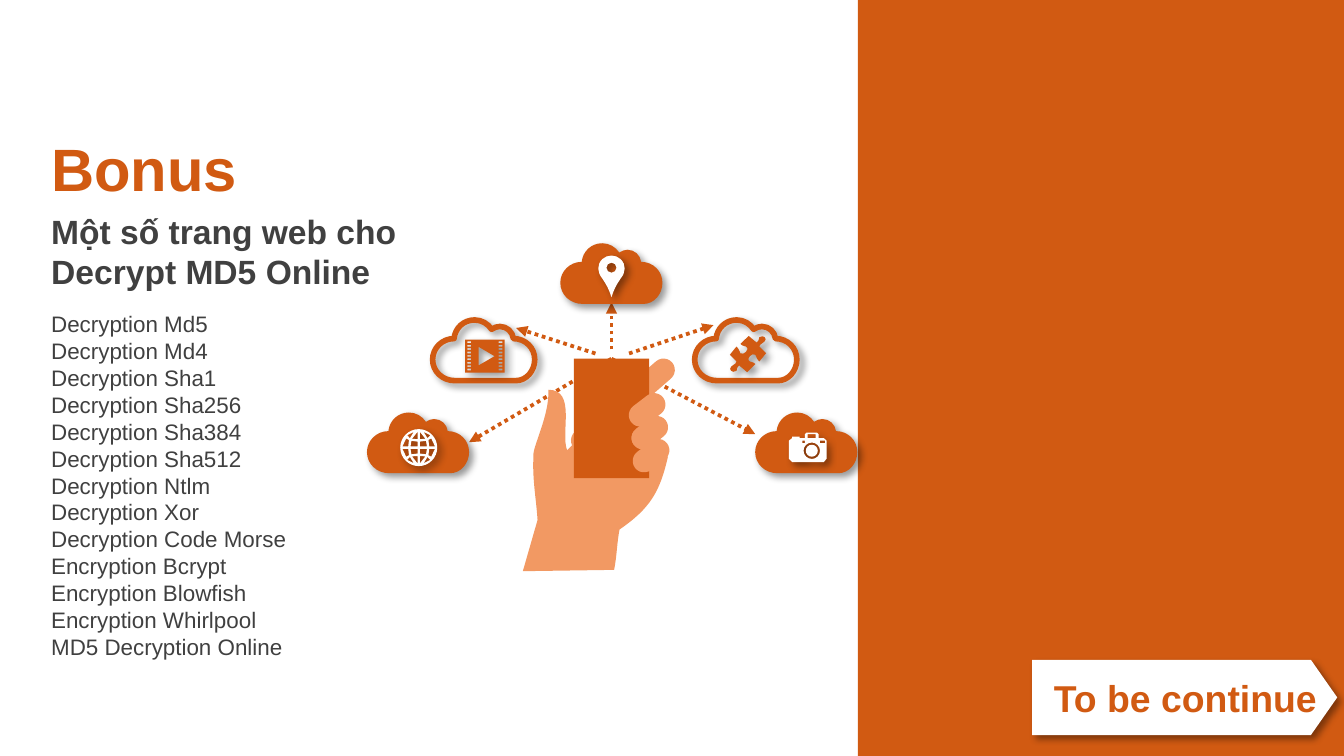
from itertools import product
from lxml.etree import SubElement
from pptx import Presentation
from pptx.dml.color import RGBColor
from pptx.enum.dml import MSO_LINE
from pptx.enum.shapes import MSO_CONNECTOR, MSO_SHAPE
from pptx.enum.text import MSO_ANCHOR, MSO_AUTO_SIZE, PP_ALIGN
from pptx.oxml.ns import qn
from pptx.util import Pt

COLORS = {"orange": "D15A12", "skin": "F29963", "white": "FFFFFF", "gray": "404040", "black": "000000"}

HEADING = "Bonus"
SUBHEADING = "Một số trang web cho Decrypt MD5 Online"
TOOLS = [
    "Decryption Md5", "Decryption Md4", "Decryption Sha1", "Decryption Sha256",
    "Decryption Sha384", "Decryption Sha512", "Decryption Ntlm", "Decryption Xor",
    "Decryption Code Morse", "Encryption Bcrypt", "Encryption Blowfish",
    "Encryption Whirlpool", "MD5 Decryption Online",
]
CLOSING = "To be continue"

PHONE_TOP = (327.6, 192.2)
ARROWS = [
    ((327.6, 187.2), (327.6, 162)),
    ((337, 189.4), (382.3, 174.2)),
    ((319, 189.4), (276.5, 175.7)),
    (PHONE_TOP, (251.3, 236.9)),
    (PHONE_TOP, (404.6, 232.6)),
]
THUMB = (327.6, 182.2, 12.2, 69.8, 49)
FINGERS = [(340.6, 208.8), (342, 221), (342.7, 233.3)]
CLOUDS = [
    (300.2, 130.3, True), (231.8, 171.4, False), (196.6, 221, True),
    (404.6, 221, True), (372.2, 171.4, False),
]

HAND = [[
    (293.8, 208.8), (294.5, 222.5, 285.1, 239.8, 285.8, 244.1),
    (285.1, 257, 287.3, 267.1, 288, 278.6), (280.1, 306), (329, 305.3),
    (330.5, 298.1, 330.5, 290.9, 331.9, 283.7), (348.5, 272.2, 353.5, 263.5, 357.8, 244.8),
    (333.4, 212.4), (303.8, 241.2), (300.2, 231.8, 308.9, 208.8, 293.8, 208.8),
]]
CLOUD = [[
    (22.5, 0), (26.3, 0, 29.6, 2, 31.6, 5), (33, 4, 34.6, 3.5, 36, 3.5),
    (39.8, 3.5, 42.8, 6.3, 43.3, 10), (49.8, 10, 54.7, 15, 54.7, 21.2),
    (54.7, 27.2, 50.3, 32.5, 44.6, 32.5), (12, 32.5), (5.2, 32.5, 0, 27.5, 0, 21.2),
    (0, 15, 5.2, 10, 11.5, 10), (12, 4.5, 16.5, 0, 22.5, 0),
]]
GLOBE_QUADRANT = [
    [(4.7, 5), (2.6, 8.4), (6.2, 6.6)],
    [(0.6, 4.5), (0.6, 8.5), (3.6, 4.7)],
    [(5.6, 0.7), (5.2, 4.1), (6.7, 4.9), (8.7, 0.7)],
    [(0.6, 0.7), (0.6, 3.2), (3.9, 3.6), (4.4, 0.7)],
]
PUZZLE_HALF = [
    (9, -9), (9.7, -8.3, 9.7, -7.6, 9, -6.8), (8.3, -5.4, 6.8, -6.1, 6.1, -4),
    (9.7, -0.4), (6.1, 4), (4.7, 2.5, 4.7, 1.8, 4, 0.4), (3.2, -0.4, 1.8, 0.4, 1.1, 1.1),
    (0.4, 1.8, -0.4, 3.2, 1.1, 4), (2.5, 4.7, 2.5, 4, 4, 5.4), (-0.4, 9.7), (-4.7, 6.1),
    (-6.1, 6.8, -5.4, 7.6, -6.1, 9), (-7.6, 9.7, -8.3, 9.7, -9, 9),
]
PIN_BODY = [
    (0, 0), (1.8, 0, 3.5, 0.6, 4.9, 1.9), (8, 5, 7.6, 9, 4.9, 12.3),
    (2.7, 15.6, 1.4, 17.8, 0, 22.3), (-1.4, 17.8, -2.7, 15.6, -4.9, 12.3),
    (-7.6, 9, -8, 5, -4.9, 1.9), (-3.5, 0.6, -1.8, 0, 0, 0),
]
CAMERA_BODY = [
    (9.4, 0), (15.1, 0), (15.9, 0.8), (15.9, 2.9), (18.7, 2.9), (20.2, 4.3),
    (20.2, 14), (18.7, 15.8), (1.8, 15.8), (0, 14), (0, 4.3), (1.8, 2.9),
    (1.8, 2.2), (5.8, 2.2), (5.8, 2.9), (8.6, 2.9), (8.6, 0.8),
]


def circle(x, y, r):
    k = 0.55 * r
    return [(x + r, y), (x + r, y + k, x + k, y + r, x, y + r), (x - k, y + r, x - r, y + k, x - r, y),
            (x - r, y - k, x - k, y - r, x, y - r), (x + k, y - r, x + r, y - k, x + r, y)]


def box(x, y, w, h):
    return [(x, y), (x + w, y), (x + w, y + h), (x, y + h)]


def flip(contour, sx, sy):
    return [tuple(v * (sy if i % 2 else sx) for i, v in enumerate(step)) for step in contour]


GLOBE = [circle(0, 0, 9.9)] + [
    flip(cell, sx, sy) for cell, sx, sy in product(GLOBE_QUADRANT, (1, -1), (1, -1))]
FILM = [box(0, 0, 21.2, 17.6), [(7.2, 3.8), (7.2, 13.8), (15.8, 8.8)]] + [
    box(x, 0.9 + 1.83 * row, 2, 0.9) for x, row in product((1.3, 18), range(9))]
PIN = [PIN_BODY, circle(0, 6.5, 2.7)]
PUZZLE = [PUZZLE_HALF + flip(PUZZLE_HALF, -1, -1)]
CAMERA = [CAMERA_BODY, circle(12.3, 9.7, 4.4), circle(12.3, 9.7, 3.2),
          box(7.2, 4.3, 1.4, 1.4), box(16.6, 4.3, 2.9, 1.4), box(10.1, 0.8, 4.3, 2.1)]
ICONS = [
    (GLOBE, 224.3, 239.8, "white"), (FILM, 249.2, 182, "orange"), (PIN, 327.6, 136.9, "white"),
    (PUZZLE, 400.7, 189.7, "orange"), (CAMERA, 422.6, 231.8, "white"),
]


def rgb(name):
    return RGBColor.from_string(COLORS[name])


def paint(shape, color):
    shape.shadow.inherit = False
    shape.fill.solid()
    shape.fill.fore_color.rgb = rgb(color)
    shape.line.fill.background()
    return shape


def cast_shadow(shape):
    effects = shape.element.spPr.find(qn("a:effectLst"))
    outer = SubElement(effects, qn("a:outerShdw"), blurRad=str(Pt(4)), dist=str(Pt(3)),
                       dir="2700000", algn="tl", rotWithShape="0")
    tint = SubElement(outer, qn("a:srgbClr"), val=COLORS["black"])
    SubElement(tint, qn("a:alpha"), val="40000")


def preset(kind, x, y, w, h, color, rotation=0):
    shape = paint(slide.shapes.add_shape(kind, Pt(x), Pt(y), Pt(w), Pt(h)), color)
    shape.rotation = rotation
    return shape


def finger(x, y, w, h, rotation):
    preset(MSO_SHAPE.ROUNDED_RECTANGLE, x, y, w, h, "skin", rotation).adjustments[0] = 0.5


def outline(contours, x, y, color):
    builder = None
    for contour in contours:
        points = [(Pt(x + step[-2]), Pt(y + step[-1])) for step in contour]
        if builder is None:
            builder = slide.shapes.build_freeform(*points[0])
        else:
            builder.move_to(*points[0])
        builder.add_line_segments(points[1:], close=True)
    shape = builder.convert_to_shape()
    segments = list(shape.element.spPr.iter(qn("a:lnTo")))
    steps = [step for contour in contours for step in contour[1:]]
    for segment, step in zip(segments, steps):
        if len(step) == 6:
            curve = segment.makeelement(qn("a:cubicBezTo"))
            for px, py in zip(step[::2], step[1::2]):
                SubElement(curve, qn("a:pt"), x=str(Pt(x + px) - shape.left), y=str(Pt(y + py) - shape.top))
            segment.getparent().replace(segment, curve)
    return paint(shape, color)


def arrow(start, end):
    line = slide.shapes.add_connector(MSO_CONNECTOR.STRAIGHT, *(Pt(v) for v in start + end))
    line.line.color.rgb = rgb("orange")
    line.line.width = Pt(2)
    line.line.dash_style = MSO_LINE.ROUND_DOT
    SubElement(line.element.spPr.find(qn("a:ln")), qn("a:tailEnd"), type="triangle")
    SubElement(line.element.spPr, qn("a:effectLst"))
    return line


def place(holder, x, y, w, h, anchor):
    holder.left, holder.top, holder.width, holder.height = Pt(x), Pt(y), Pt(w), Pt(h)
    frame = holder.text_frame
    frame.word_wrap = True
    frame.auto_size = MSO_AUTO_SIZE.NONE
    frame.vertical_anchor = anchor
    return frame


def style(paragraph, size, color, bold=False, align=PP_ALIGN.LEFT, before=0):
    paragraph.alignment = align
    paragraph.space_before = Pt(before)
    font = paragraph.font
    font.name, font.size, font.bold = "Arial", Pt(size), bold
    font.color.rgb = rgb(color)


deck = Presentation()
deck.slide_width, deck.slide_height = Pt(720), Pt(405)
slide = deck.slides.add_slide(deck.slide_layouts[1])

title = place(slide.shapes.title, 20.2, 36.7, 254.9, 153.4, MSO_ANCHOR.MIDDLE)
title.text = HEADING + "\n" + SUBHEADING
style(title.paragraphs[0], 32, "orange", True)
style(title.paragraphs[1], 18, "gray", True, before=4)
title.paragraphs[1].line_spacing = Pt(21.6)

tools = place(slide.placeholders[1], 20.2, 162.7, 218.2, 211, MSO_ANCHOR.TOP)
tools.text = "\n".join(TOOLS)
for paragraph in tools.paragraphs:
    properties = paragraph._p.get_or_add_pPr()
    properties.set("marL", "0")
    properties.set("indent", "0")
    SubElement(properties, qn("a:buNone"))
    style(paragraph, 12, "gray")
    paragraph.line_spacing = Pt(14.4)

preset(MSO_SHAPE.RECTANGLE, 459.6, 0, 260.4, 405, "orange")
plate = preset(MSO_SHAPE.PENTAGON, 553, 353.5, 163.4, 40.3, "white")
plate.adjustments[0] = 0.35
cast_shadow(plate)
closing = place(slide.shapes.add_textbox(0, 0, 0, 0), 538.6, 345.6, 193, 56.2, MSO_ANCHOR.MIDDLE)
closing.text = CLOSING
style(closing.paragraphs[0], 20, "orange", True, PP_ALIGN.CENTER)

arrows = [arrow(start, end) for start, end in ARROWS]
finger(*THUMB)
outline(HAND, 0, 0, "skin")
phone = preset(MSO_SHAPE.RECTANGLE, 307.4, 192.2, 40.4, 64, "orange")
for (start, end), line in zip(ARROWS, arrows):
    if start == PHONE_TOP:
        line.begin_connect(phone, 0)
for x, y in FINGERS:
    finger(x, y, 12.2, 21.6, 52.5)

for x, y, filled in CLOUDS:
    cloud = outline(CLOUD, x, y, "orange")
    if not filled:
        cloud.fill.background()
        cloud.line.color.rgb = rgb("orange")
        cloud.line.width = Pt(3)
    cast_shadow(cloud)
for contours, x, y, color in ICONS:
    cast_shadow(outline(contours, x, y, color))

deck.save("out.pptx")
